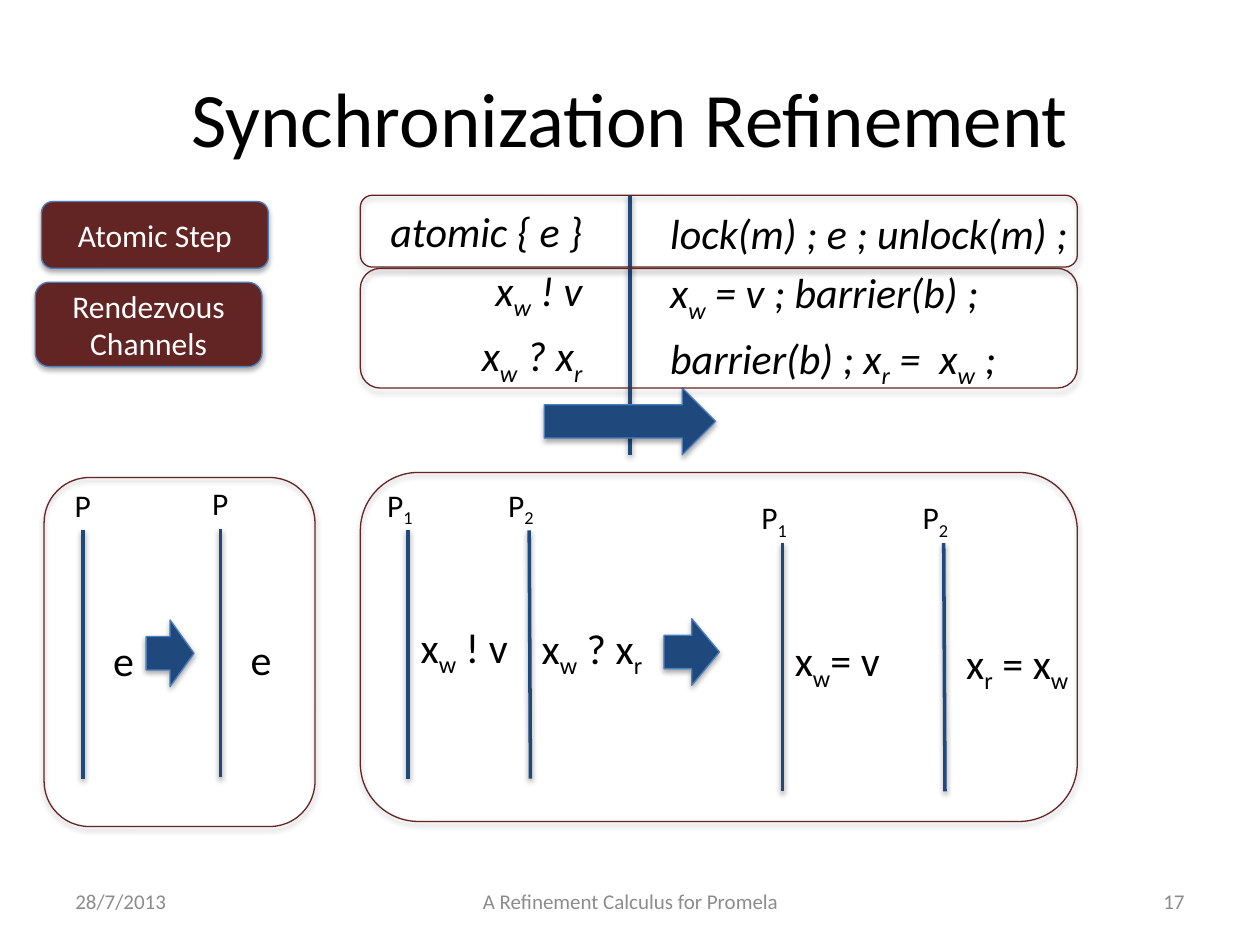
from lxml.etree import SubElement
from pptx import Presentation
from pptx.dml.color import RGBColor
from pptx.enum.shapes import MSO_CONNECTOR, MSO_SHAPE
from pptx.enum.text import MSO_ANCHOR, PP_ALIGN
from pptx.oxml.ns import qn
from pptx.util import Inches, Pt

COLORS = {"ink": "000000", "paper": "FFFFFF", "footer": "8C8C8C", "navy": "1F497D",
          "edge": "4B7EBC", "maroon": "632523"}
COLUMNS, ROWS = 100, 75
DECK_FORMAT = {"slide_width": Inches(10), "slide_height": Inches(7.5)}
CELL = DECK_FORMAT["slide_width"] / COLUMNS
TITLE = {"size": Pt(44)}
FOOTER = {"size": Pt(12), "color": "footer"}
RULE = {"size": Pt(24), "italic": True}
NAME = {"size": Pt(18)}
EVENT = {"size": Pt(24)}
BUTTON = {"size": Pt(18), "color": "paper"}


def cells(*counts):
    """Turn counts of grid cells into lengths."""
    return [round(count * CELL) for count in counts]


def rgb(name):
    """Look up a named colour."""
    return RGBColor.from_string(COLORS[name])


def set_attributes(target, values):
    """Set every attribute in a dict of format values."""
    for key, value in values.items():
        setattr(target, key, value)


def add_shadow(item, opacity, distance):
    """Give a shape or connector a soft shadow below it."""
    effects = SubElement(item.element.spPr, qn("a:effectLst"))
    shadow = SubElement(effects, qn("a:outerShdw"), blurRad="40000", dist=str(distance),
                        dir="5400000", rotWithShape="0")
    color = SubElement(shadow, qn("a:srgbClr"), val=COLORS["ink"])
    SubElement(color, qn("a:alpha"), val=str(opacity * 1000))


def add_span(para, text, style, lowered=False):
    """Add one run of text, lowered when it is a subscript."""
    if not text:
        return
    span = para.add_run()
    span.text = text
    values = {"name": "Calibri", **style}
    span.font.color.rgb = rgb(values.pop("color", "ink"))
    set_attributes(span.font, values)
    if lowered:
        span.font._element.set("baseline", "-25000")


def write(frame, lines, style, align=PP_ALIGN.LEFT, anchor=MSO_ANCHOR.TOP):
    """Write lines in which an underscore lowers the next letter."""
    set_attributes(frame, {"word_wrap": True, "vertical_anchor": anchor})
    for index, line in enumerate(lines):
        para = frame.add_paragraph() if index else frame.paragraphs[0]
        para.alignment = align
        if index:
            para.space_before = Pt(4.8)
        start, *rest = line.split("_")
        add_span(para, start, style)
        for part in rest:
            add_span(para, part[0], style, lowered=True)
            add_span(para, part[1:], style)


def add_text(page, area, lines, style, **layout):
    """Add a text box on the grid."""
    box = page.shapes.add_textbox(*cells(*area))
    write(box.text_frame, lines, style, **layout)


def add_block(page, kind, area, fill=None, edge="edge"):
    """Add a filled or outlined shape with a shadow."""
    block = page.shapes.add_shape(kind, *cells(*area))
    if fill:
        block.fill.solid()
        block.fill.fore_color.rgb = rgb(fill)
    else:
        block.fill.background()
    block.line.color.rgb = rgb(edge)
    block.line.width = Pt(0.75)
    add_shadow(block, 35, 23000)
    return block


def add_button(page, area, text):
    """Add a maroon label for a refinement rule."""
    button = add_block(page, MSO_SHAPE.ROUNDED_RECTANGLE, area, "maroon")
    write(button.text_frame, [text], BUTTON, PP_ALIGN.CENTER, MSO_ANCHOR.MIDDLE)


def add_line(page, *ends):
    """Add a navy line between two grid points."""
    line = page.shapes.add_connector(MSO_CONNECTOR.STRAIGHT, *cells(*ends))
    line.line.color.rgb = rgb("navy")
    line.line.width = Pt(2)
    add_shadow(line, 38, 20000)


def add_process(page, column, row, slant, name, event, shift, drop, width):
    """Add a process lifeline with its name above and its event beside."""
    name_width = 5.3 if "_" in name else 3.3
    add_text(page, (column - name_width / 2, row - 4.05, name_width, 4), [name], NAME)
    add_line(page, column, row, column + slant, row + 19.7)
    add_text(page, (column + shift, row + drop, width, 5), [event], EVENT)


def main():
    """Build the slide."""
    deck = Presentation()
    set_attributes(deck, DECK_FORMAT)
    page = deck.slides.add_slide(deck.slide_layouts[6])
    middle = {"anchor": MSO_ANCHOR.MIDDLE}
    add_text(page, (5, 3, 90, 12.5), ["Synchronization Refinement"], TITLE,
             align=PP_ALIGN.CENTER, **middle)
    for left, width, text, align in (
            (5, 23.3, "28/7/2013", PP_ALIGN.LEFT),
            (34.2, 31.7, "A Refinement Calculus for Promela", PP_ALIGN.CENTER),
            (71.7, 23.3, "17", PP_ALIGN.RIGHT)):
        add_text(page, (left, ROWS - 5.5, width, 4), [text], FOOTER, align=align, **middle)

    add_text(page, (2.4, 15.8, 44.8, 22.4), ["atomic { e }", "x_w ! v", "x_w ? x_r"],
             RULE, align=PP_ALIGN.RIGHT)
    add_text(page, (52.2, 16, 44.8, 21.2),
             ["lock(m) ; e ; unlock(m) ;", "x_w = v ; barrier(b) ;",
              "barrier(b) ; x_r =  x_w ;"], RULE)
    add_line(page, COLUMNS / 2, 15.5, COLUMNS / 2, 36.1)

    for process in (
            (6.6, 42.1, 0, "P", "e", 1.4, 7.8, 3.3),
            (17.5, 42, 0, "P", "e", 1.4, 7.8, 3.3),
            (32.4, 42.1, 0, "P_1", "x_w ! v", 0, 6.7, 9.7),
            (42, 42.1, 0.1, "P_2", "x_w ? x_r", 0, 6.8, 11.4),
            (62.1, 43.1, 0, "P_1", "x_w= v", 0, 6.8, 9.7),
            (74.9, 43.1, 0.1, "P_2", "x_r = x_w", 0.8, 7, 11.4)):
        add_process(page, *process)
    for left, top, width in ((43.2, 30.8, 13.6), (11.6, 49.2, 3.8), (52.7, 49.1, 4.4)):
        add_block(page, MSO_SHAPE.RIGHT_ARROW, (left, top, width, 5.3), "navy")
    for area in ((3.5, 37.9, 21.5, 27.7), (28.6, 15.5, 56.9, 5.7),
                 (28.6, 21.3, 56.9, 9.5), (28.6, 37.5, 56.9, 27.7)):
        add_block(page, MSO_SHAPE.ROUNDED_RECTANGLE, area, edge="maroon")
    add_button(page, (3.3, 16, 18, 5.3), "Atomic Step")
    add_button(page, (2.8, 22.4, 18, 6.7), "Rendezvous Channels")
    deck.save("out.pptx")


if __name__ == "__main__":
    main()
